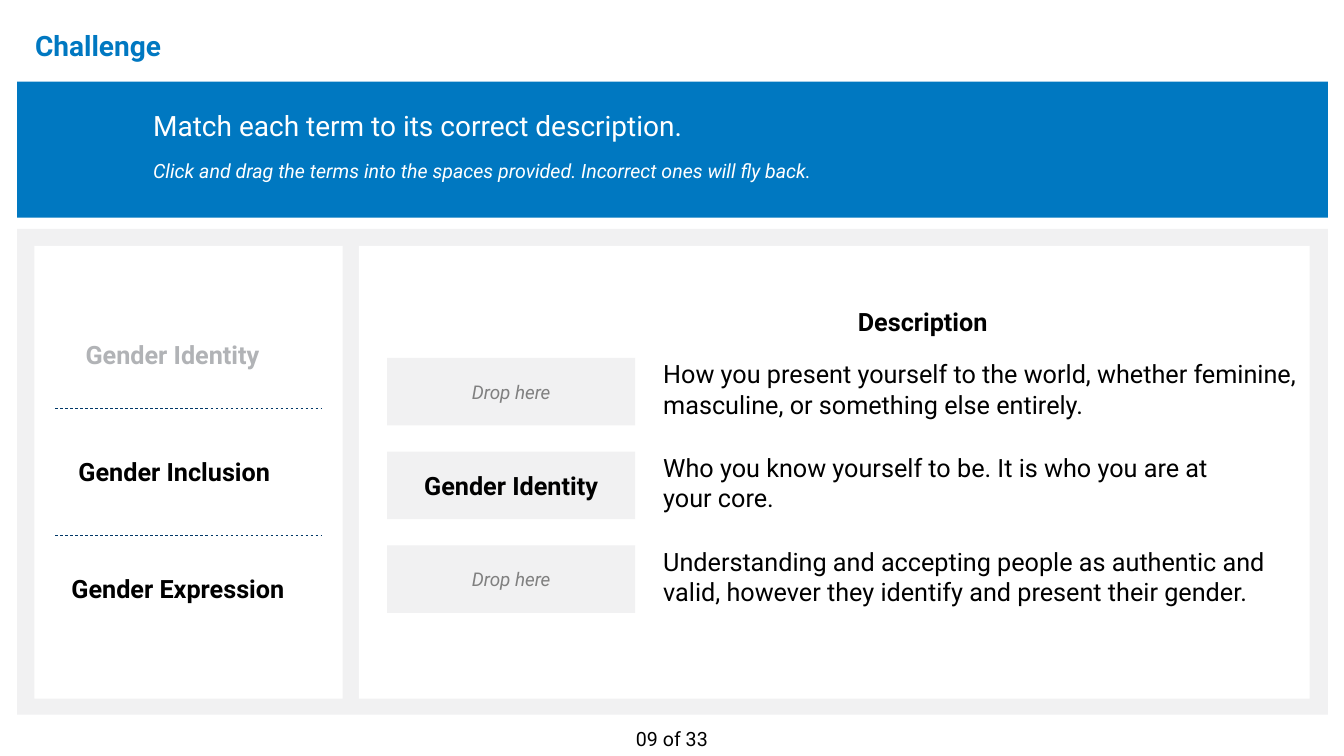
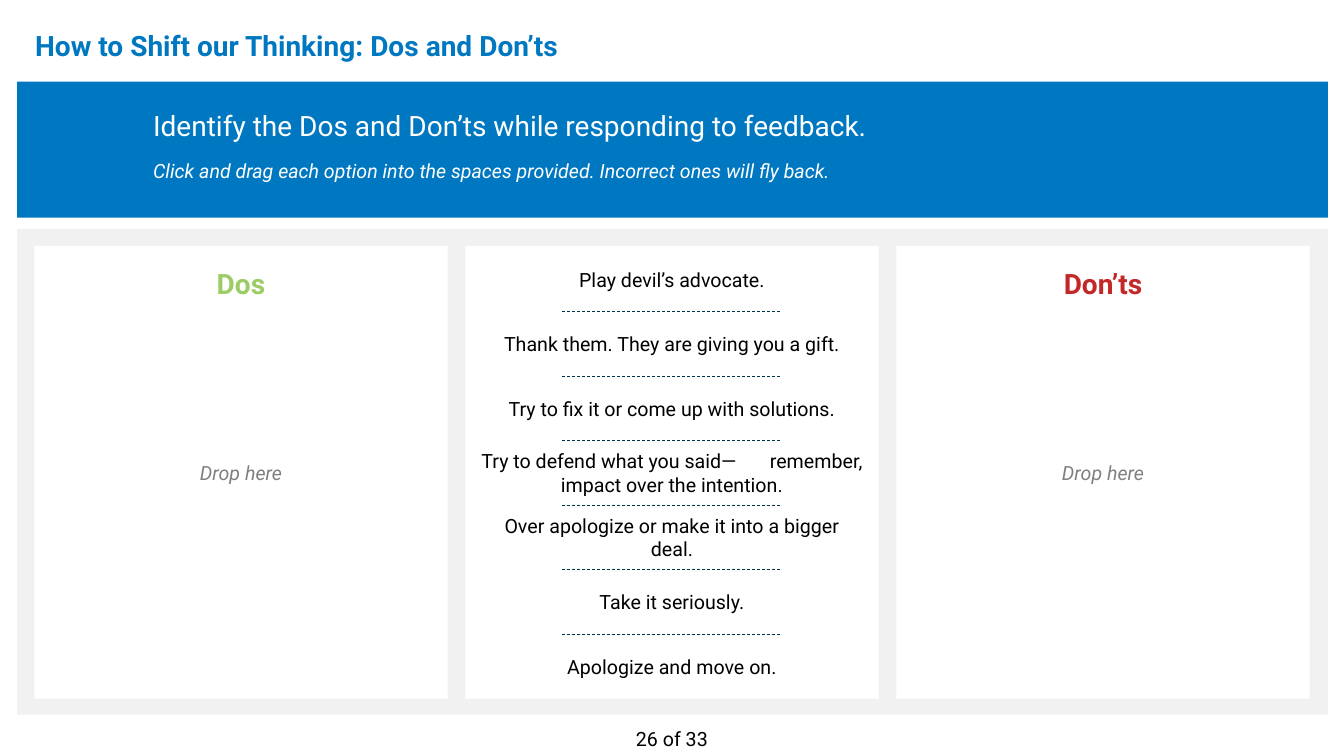
from dataclasses import dataclass

from lxml import etree
from pptx import Presentation
from pptx import util as u
from pptx.dml.color import RGBColor
from pptx.enum import dml, shapes, text
from pptx.oxml import ns

CENTER = text.PP_ALIGN.CENTER
LEFT = text.PP_ALIGN.LEFT
MIDDLE = text.MSO_ANCHOR.MIDDLE
TOP = text.MSO_ANCHOR.TOP


@dataclass(frozen=True)
class Theme:
    font: str = "Roboto"
    blue: str = "0078C1"
    panel: str = "F1F1F2"
    white: str = "FFFFFF"
    black: str = "000000"
    hint: str = "808080"
    used: str = "B1B3B6"
    do: str = "9CCC65"
    dont: str = "C42728"
    term_rule: str = "003767"
    option_rule: str = "00324B"
    title_pt: float = 20
    term_pt: float = 18
    body_pt: float = 14
    drop_pt: float = 13.5
    rule_pt: float = 0.5


@dataclass(frozen=True)
class Box:
    x: float
    y: float
    w: float
    h: float

    def emu(self) -> tuple:
        return tuple(u.Inches(v) for v in (self.x, self.y, self.w, self.h))


@dataclass(frozen=True)
class Term:
    label: str
    x: float
    w: float
    color: str


@dataclass(frozen=True)
class Match:
    drop: str
    filled: bool
    lines: tuple
    w: float = 6.26


@dataclass(frozen=True)
class Option:
    label: str
    w: float = 4.0
    after_gap: str = ""


@dataclass(frozen=True)
class Card:
    heading: str
    color: str


T = Theme()
BAND = Box(0.17, 0.81, 13, 1.35)
PANEL = Box(0.17, 2.27, 13, 4.82)
INNER = Box(0.34, 2.44, 12.65, 4.49)

TERMS = (
    Term("Gender Identity", 0.75, 2.14, T.used),
    Term("Gender Inclusion", 0.68, 2.28, T.black),
    Term("Gender Expression", 0.61, 2.52, T.black),
)
MATCHES = (
    Match("Drop here", False, ("How you present yourself to the world, whether feminine, "
                               "masculine, or something else entirely.",), 6.6),
    Match("Gender Identity", True, ("Who you know yourself to be. It is who you are at",
                                    "your core.")),
    Match("Drop here", False, ("Understanding and accepting people as authentic and valid, "
                               "however they identify and present their gender.",)),
)
CARDS = (Card("Dos", T.do), Card("", T.black), Card("Don’ts", T.dont))
OPTIONS = (
    Option("Play devil’s advocate."),
    Option("Thank them. They are giving you a gift."),
    Option("Try to fix it or come up with solutions."),
    Option("Try to defend what you said—", after_gap="remember, impact over the intention."),
    Option("Over apologize or make it into a bigger deal.", 3.63),
    Option("Take it seriously."),
    Option("Apologize and move on."),
)


def rgb(color: str) -> RGBColor:
    return RGBColor.from_string(color)


def add_run(p, content: str, *, size: float, color: str, bold: bool = False,
            italic: bool = False, tracking: float = 0) -> None:
    r = p.add_run()
    r.text = content
    r.font.name = T.font
    r.font.size = u.Pt(size)
    r.font.bold = bold
    r.font.italic = italic
    r.font.color.rgb = rgb(color)
    if tracking:
        r.font._element.set("spc", str(int(tracking * 100)))


def write(sp, content: str, *, size: float, color: str, bold: bool = False,
          italic: bool = False, align=LEFT, anchor=TOP, spacing: float = 1.0,
          after: float = 0, new: bool = False):
    tf = sp.text_frame
    tf.word_wrap = True
    tf.vertical_anchor = anchor
    p = tf.add_paragraph() if new else tf.paragraphs[0]
    p.alignment = align
    p.line_spacing = spacing
    p.space_after = u.Pt(after)
    add_run(p, content, size=size, color=color, bold=bold, italic=italic)
    return p


def add_text(s, box: Box, content: str, **style):
    sp = s.shapes.add_textbox(*box.emu())
    write(sp, content, **style)
    return sp


def add_rect(s, box: Box, fill: str):
    sp = s.shapes.add_shape(shapes.MSO_SHAPE.RECTANGLE, *box.emu())
    sp.shadow.inherit = False
    sp.fill.solid()
    sp.fill.fore_color.rgb = rgb(fill)
    sp.line.fill.background()
    return sp


def add_rule(s, x: float, y: float, w: float, color: str) -> None:
    line = s.shapes.add_connector(shapes.MSO_CONNECTOR.STRAIGHT, u.Inches(x), u.Inches(y),
                                  u.Inches(x + w), u.Inches(y))
    line.line.color.rgb = rgb(color)
    line.line.width = u.Pt(T.rule_pt)
    line.line.dash_style = dml.MSO_LINE.DASH
    etree.SubElement(line._element.spPr, ns.qn("a:effectLst"))


def add_base(prs, title: str, prompt: str, hint: str, page: str):
    s = prs.slides.add_slide(prs.slide_layouts[6])
    add_rect(s, BAND, T.blue)
    add_rect(s, PANEL, T.panel)
    add_text(s, Box(0.25, 0.2, 11.5, 0.54), title, size=T.title_pt, color=T.blue,
             bold=True, anchor=MIDDLE, spacing=0.9)
    sp = add_text(s, Box(1.42, 1.03, 11.35, 0.84), prompt, size=T.title_pt,
                  color=T.white, after=12)
    write(sp, hint, size=T.body_pt, color=T.white, italic=True, new=True)
    add_text(s, Box(5.33, 7.16, 2.67, 0.34), page, size=T.body_pt, color=T.black,
             align=CENTER)
    return s


def build_challenge(prs) -> None:
    s = add_base(prs, "Challenge", "Match each term to its correct description.",
                 "Click and drag the terms into the spaces provided. "
                 "Incorrect ones will fly back.", "09 of 33")
    add_rect(s, Box(INNER.x, INNER.y, 3.06, INNER.h), T.white)
    add_rect(s, Box(3.56, INNER.y, 9.43, INNER.h), T.white)
    for i, term in enumerate(TERMS):
        add_text(s, Box(term.x, 3.32 + 1.16 * i, term.w, 0.4), term.label,
                 size=T.term_pt, color=term.color, bold=True)
    for y in (4.05, 5.31):
        add_rule(s, 0.55, y, 2.64, T.term_rule)
    add_text(s, Box(8.41, 2.99, 1.57, 0.4), "Description", size=T.term_pt,
             color=T.black, bold=True)
    for i, match in enumerate(MATCHES):
        y = 3.55 + 0.93 * i
        sp = add_rect(s, Box(3.84, y, 2.46, 0.67), T.panel)
        write(sp, match.drop, size=T.term_pt if match.filled else T.drop_pt,
              color=T.black if match.filled else T.hint, bold=match.filled,
              italic=not match.filled, align=CENTER, anchor=MIDDLE)
        sp = s.shapes.add_textbox(*Box(6.48, y - 0.04, match.w, 0.71).emu())
        for n, line in enumerate(match.lines):
            write(sp, line, size=T.term_pt, color=T.black, new=n > 0)


def build_dos_and_donts(prs) -> None:
    s = add_base(prs, "How to Shift our Thinking: Dos and Don’ts",
                 "Identify the Dos and Don’ts while responding to feedback.",
                 "Click and drag each option into the spaces provided. "
                 "Incorrect ones will fly back.", "26 of 33")
    card_w = 4.1
    pitch = (INNER.w - card_w) / (len(CARDS) - 1)
    for i, card in enumerate(CARDS):
        x = INNER.x + pitch * i
        sp = add_rect(s, Box(x, INNER.y, card_w, INNER.h), T.white)
        if card.heading:
            write(sp, "Drop here", size=T.body_pt, color=T.hint, italic=True,
                  align=CENTER, anchor=MIDDLE)
            add_text(s, Box(x, 2.56, card_w, 0.54), card.heading, size=T.title_pt,
                     color=card.color, bold=True, align=CENTER, anchor=MIDDLE, spacing=0.9)
    step, row_h, rule_w = 0.64, 0.57, 2.18
    center = INNER.x + INNER.w / 2
    for i, option in enumerate(OPTIONS):
        y = 2.77 + step * i
        sp = add_text(s, Box(center - option.w / 2, y - row_h / 2, option.w, row_h),
                      option.label, size=T.body_pt, color=T.black, align=CENTER,
                      anchor=MIDDLE)
        if option.after_gap:
            p = sp.text_frame.paragraphs[0]
            add_run(p, " ", size=T.body_pt, color=T.black, tracking=20)
            add_run(p, option.after_gap, size=T.body_pt, color=T.black)
        if i < len(OPTIONS) - 1:
            add_rule(s, center - rule_w / 2, y + step / 2, rule_w, T.option_rule)


def main() -> None:
    prs = Presentation()
    prs.slide_width = u.Inches(13.33)
    prs.slide_height = u.Inches(7.5)
    build_challenge(prs)
    build_dos_and_donts(prs)
    prs.save("out.pptx")


if __name__ == "__main__":
    main()
